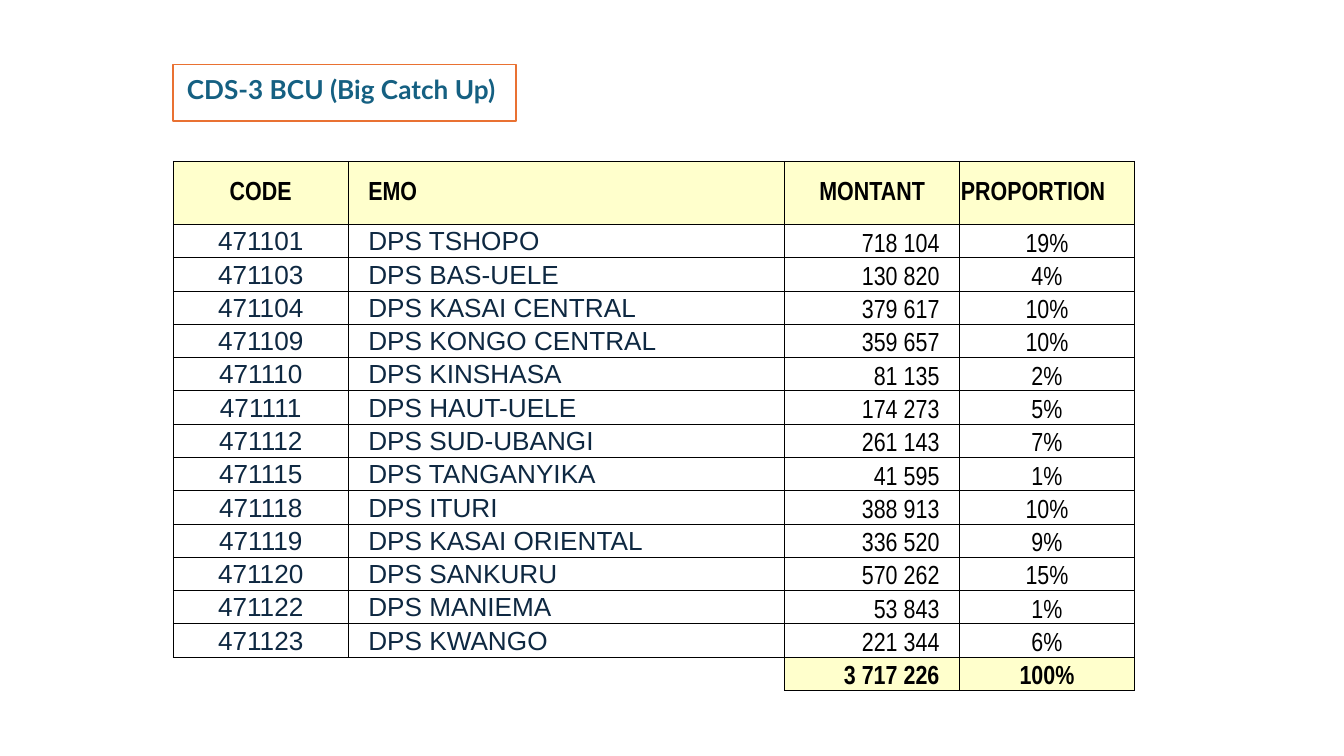
"""Build the CDS-3 BCU slide: a boxed title above a table of amounts by EMO."""
from lxml import etree
from pptx import Presentation
from pptx.dml.color import RGBColor
from pptx.enum.text import MSO_ANCHOR, MSO_AUTO_SIZE, PP_ALIGN
from pptx.oxml.ns import qn
from pptx.util import Inches, Pt

LEFT, CENTER, RIGHT = PP_ALIGN.LEFT, PP_ALIGN.CENTER, PP_ALIGN.RIGHT
TOP, MIDDLE, BOTTOM = MSO_ANCHOR.TOP, MSO_ANCHOR.MIDDLE, MSO_ANCHOR.BOTTOM
NO_AUTOFIT = MSO_AUTO_SIZE.NONE

COLORS = {
    "black": "000000",
    "navy": "0E2841",
    "teal": "156082",
    "orange": "E97132",
    "cream": "FFFFCC",
    "white": "FFFFFF",
}
HEADER = ("CODE", "EMO", "MONTANT", "PROPORTION")
BODY = [
    ("471101", "DPS TSHOPO", "718 104", "19%"),
    ("471103", "DPS BAS-UELE", "130 820", "4%"),
    ("471104", "DPS KASAI CENTRAL", "379 617", "10%"),
    ("471109", "DPS KONGO CENTRAL", "359 657", "10%"),
    ("471110", "DPS KINSHASA", "81 135", "2%"),
    ("471111", "DPS HAUT-UELE", "174 273", "5%"),
    ("471112", "DPS SUD-UBANGI", "261 143", "7%"),
    ("471115", "DPS TANGANYIKA", "41 595", "1%"),
    ("471118", "DPS ITURI", "388 913", "10%"),
    ("471119", "DPS KASAI ORIENTAL", "336 520", "9%"),
    ("471120", "DPS SANKURU", "570 262", "15%"),
    ("471122", "DPS MANIEMA", "53 843", "1%"),
    ("471123", "DPS KWANGO", "221 344", "6%"),
]
TOTAL = ("", "", "3 717 226", "100%")
ROWS = [HEADER, *BODY, TOTAL]
COLUMN_WIDTHS = (1.3, 3.25, 1.3, 1.3)
TABLE_HEIGHT = 3.94
HEADER_HEIGHT = 0.47
ROW_HEIGHT = (TABLE_HEIGHT - HEADER_HEIGHT) / (len(ROWS) - 1)
HEADER_ALIGNMENTS = (CENTER, LEFT, CENTER, LEFT)
BODY_ALIGNMENTS = (CENTER, LEFT, RIGHT, CENTER)


def add_text(paragraph, text, font_name, color, bold):
    run = paragraph.add_run()
    run.text = text
    font_format = {"name": font_name, "size": Pt(14), "bold": bold}
    for name, value in font_format.items():
        setattr(run.font, name, value)
    run.font.color.rgb = RGBColor.from_string(COLORS[color])


def set_borders(cell, visible_sides):
    properties = cell._tc.get_or_add_tcPr()
    for side in "LRTB":
        line = etree.SubElement(properties, qn(f"a:ln{side}"), w=str(Pt(0.5)))
        if side in visible_sides:
            fill = etree.SubElement(line, qn("a:solidFill"))
            etree.SubElement(fill, qn("a:srgbClr"), val=COLORS["black"])
        else:
            etree.SubElement(line, qn("a:noFill"))


presentation = Presentation()
presentation.slide_width = Inches(10)
presentation.slide_height = Inches(10 * 9 / 16)
slide = presentation.slides.add_slide(presentation.slide_layouts[5])

title = slide.shapes.title
title_box = {"left": 1.29, "top": 0.48, "width": 2.55, "height": 0.42}
for name, value in title_box.items():
    setattr(title, name, Inches(value))
title.fill.solid()
title.fill.fore_color.rgb = RGBColor.from_string(COLORS["white"])
title.line.color.rgb = RGBColor.from_string(COLORS["orange"])
title.line.width = Pt(1)
frame_format = {"word_wrap": True, "auto_size": NO_AUTOFIT, "vertical_anchor": TOP}
for name, value in frame_format.items():
    setattr(title.text_frame, name, value)
paragraph = title.text_frame.paragraphs[0]
paragraph_format = {"alignment": LEFT, "line_spacing": 1.07, "space_after": Pt(8)}
for name, value in paragraph_format.items():
    setattr(paragraph, name, value)
add_text(paragraph, "CDS-3 BCU (Big Catch Up)", "Lato", "teal", True)

table = slide.shapes.add_table(
    len(ROWS), len(HEADER), Inches(1.29), Inches(1.2),
    Inches(sum(COLUMN_WIDTHS)), Inches(TABLE_HEIGHT),
).table
table.first_row = False
table.horz_banding = False
for column, width in zip(table.columns, COLUMN_WIDTHS):
    column.width = Inches(width)

for row_index, values in enumerate(ROWS):
    is_header = values is HEADER
    is_total = values is TOTAL
    table.rows[row_index].height = Inches(HEADER_HEIGHT if is_header else ROW_HEIGHT)
    alignments = HEADER_ALIGNMENTS if is_header else BODY_ALIGNMENTS
    for column_index, text in enumerate(values):
        cell = table.cell(row_index, column_index)
        alignment = alignments[column_index]
        is_label = column_index < 2
        cell_format = {
            "margin_left": Inches(0.15 if column_index == 1 else 0.01),
            "margin_right": Inches(0.15 if alignment == RIGHT else 0.01),
            "margin_top": Inches(0.01),
            "margin_bottom": 0,
            "vertical_anchor": MIDDLE if is_header or is_label else BOTTOM,
        }
        for name, value in cell_format.items():
            setattr(cell, name, value)
        paragraph = cell.text_frame.paragraphs[0]
        paragraph.alignment = alignment
        if not text:
            set_borders(cell, "T" if column_index == 0 else "TR")
            cell.fill.background()
            etree.SubElement(paragraph._p, qn("a:endParaRPr"), sz="1400")
            continue
        set_borders(cell, "LRTB")
        if is_header or is_total or is_label:
            cell.fill.solid()
            fill_color = "cream" if is_header or is_total else "white"
            cell.fill.fore_color.rgb = RGBColor.from_string(COLORS[fill_color])
        else:
            cell.fill.background()
        if is_label and not is_header:
            add_text(paragraph, text, "Arial", "navy", False)
        else:
            add_text(paragraph, text, "Arial Narrow", "black", is_header or is_total)

presentation.save("out.pptx")
